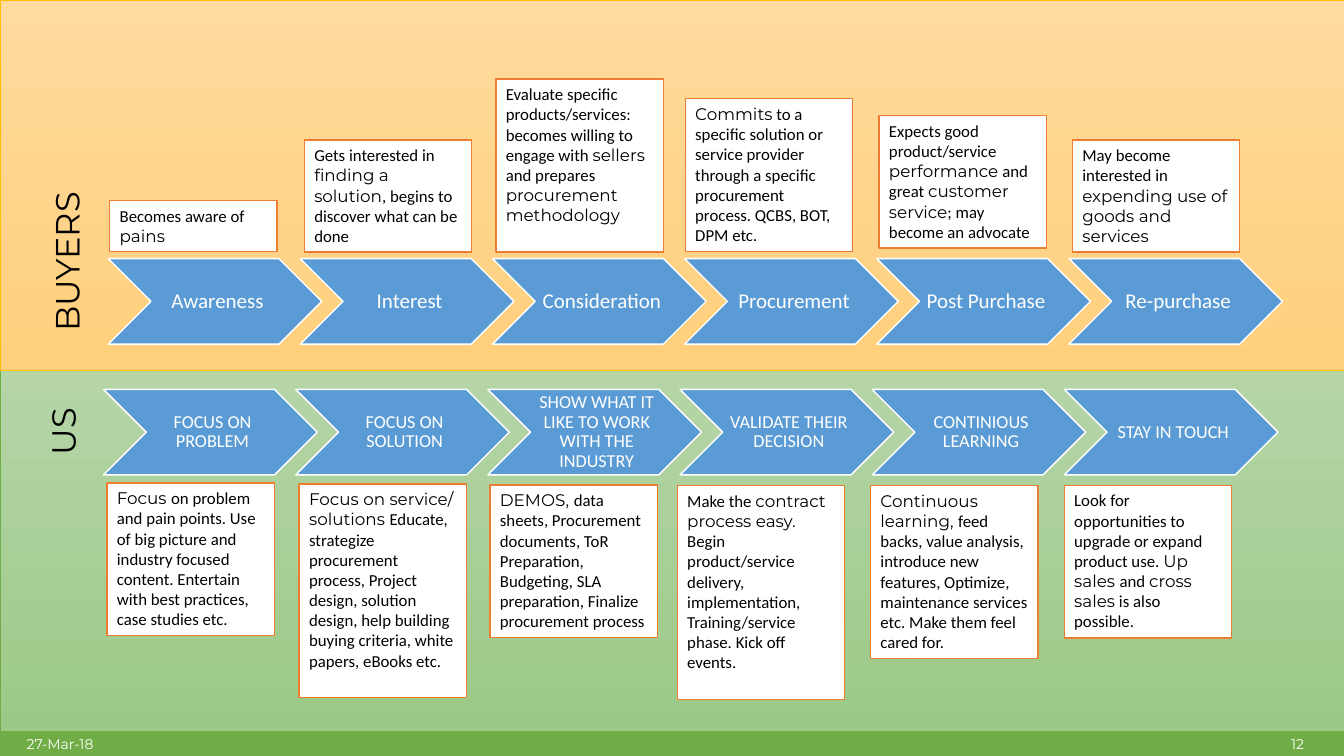
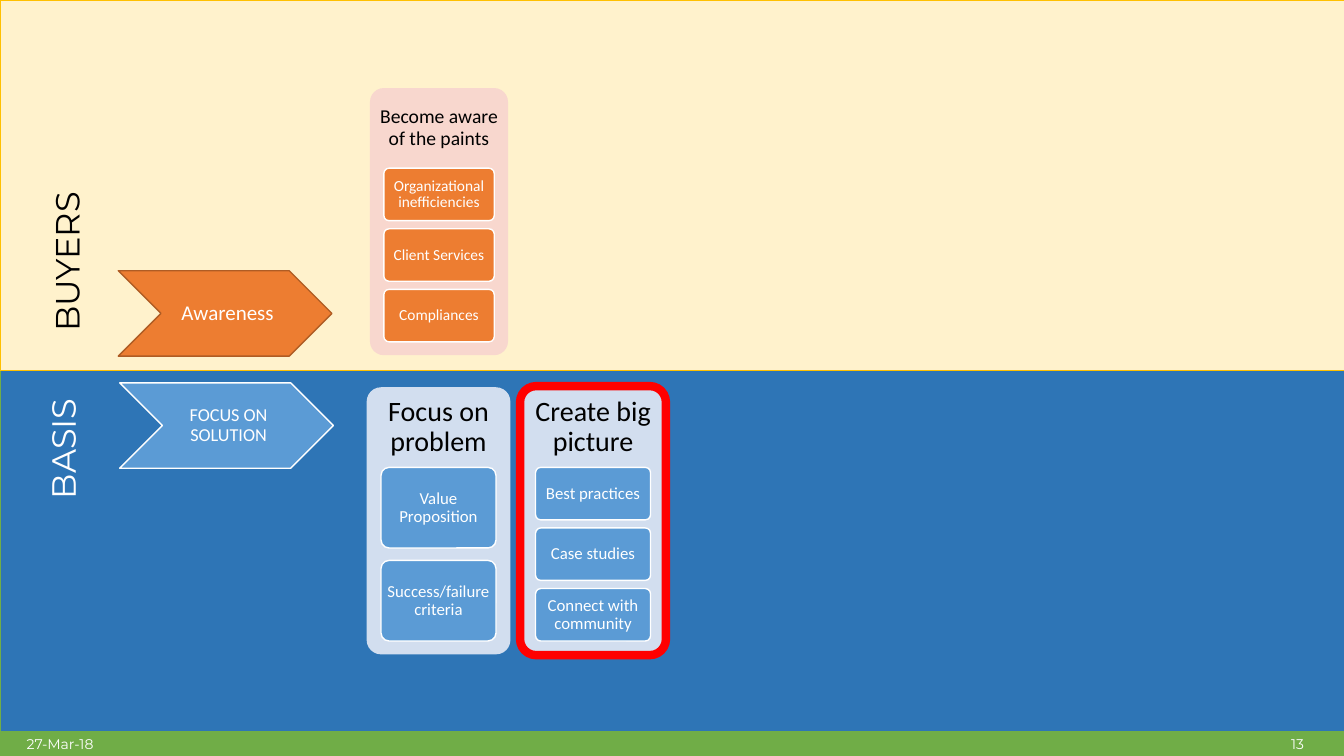
from pptx import Presentation
from pptx.dml.color import RGBColor
from pptx.enum.shapes import MSO_SHAPE
from pptx.enum.text import MSO_ANCHOR, PP_ALIGN
from pptx.util import Pt

RECT = MSO_SHAPE.RECTANGLE
ROUND = MSO_SHAPE.ROUNDED_RECTANGLE
CHEVRON = MSO_SHAPE.CHEVRON
TOP, MIDDLE = MSO_ANCHOR.TOP, MSO_ANCHOR.MIDDLE
LEFT, CENTER, RIGHT = PP_ALIGN.LEFT, PP_ALIGN.CENTER, PP_ALIGN.RIGHT

COLORS = {
    "white": "FFFFFF", "black": "000000", "green": "70AD47", "gold": "FFC000",
    "blue": "5B9BD5", "deep_blue": "2E75B6", "pale_blue": "D2DEEF",
    "orange": "ED7D31", "dark_orange": "AF5C24", "pale_orange": "F8D7CE",
    "cream": "FFF2CC", "red": "FF0000",
    "sand_light": "FFDB9E", "sand_dark": "FFD07C",
    "leaf_light": "B5D5A7", "leaf_dark": "9CC987",
}
BODY, ACCENT = "Calibri", "Montserrat"
WIDTH, HEIGHT = 960, 540
BAND_SPLIT, FOOTER_TOP = 264.8, 522.7
CHEVRON_W, CHEVRON_H, CHEVRON_STEP = 152.6, 61, 137.25
NOTE_W, NOTE_LINE, NOTE_PADDING = 119.6, 14.55, 7.2
CARD_TOP_SHARE, CARD_ITEMS_SHARE, CARD_H, ITEM_GAP = 0.3, 0.65, 190.8, 0.154

BUYER_STEPS = ["Awareness", "Interest", "Consideration", "Procurement",
               "Post Purchase", "Re-purchase"]
OUR_STEPS = ["FOCUS ON PROBLEM", "FOCUS ON SOLUTION",
             "SHOW WHAT IT LIKE TO WORK WITH THE INDUSTRY",
             "VALIDATE THEIR DECISION", "CONTINIOUS LEARNING", "STAY IN TOUCH"]

# left, bottom, lines, text with *accent* parts
BUYER_NOTES = [
    (78.4, 179.6, 2, "Becomes aware of *pains"),
    (217.4, 180, 5, "Gets interested in *finding a solution*, begins to discover "
                    "what can be done"),
    (354.2, 180, 8, "Evaluate specific products/services: becomes willing to engage "
                    "with *sellers *and prepares *procurement methodology"),
    (489.5, 179.6, 7, "*Commits* to a specific solution or service provider through a "
                      "specific procurement process. QCBS, BOT, DPM etc."),
    (627.9, 177.2, 6, "Expects good product/service *performance* and great "
                      "*customer service*; may become an advocate"),
    (766, 180, 5, "May become interested in *expending use of goods and services"),
]
OUR_NOTES = [
    (76.4, 345, 7, "*Focus *on problem and pain points. Use of big picture and industry "
                   "focused content. Entertain with best practices, case studies etc."),
    (213.7, 345.7, 10, "*Focus on service/ solutions *Educate, strategize procurement "
                       "process, Project design, solution design, help building buying "
                       "criteria, white papers, eBooks etc."),
    (350, 346.4, 7, "*DEMOS, *data sheets, Procurement documents, ToR Preparation, "
                    "Budgeting, SLA preparation, Finalize procurement process"),
    (483.8, 346.9, 10, "Make the *contract process easy. *Begin product/service delivery, "
                       "implementation, Training/service phase. Kick off events."),
    (621.8, 346.9, 8, "*Continuous learning, *feed backs, value analysis, introduce new "
                      "features, Optimize, maintenance services etc. Make them feel "
                      "cared for."),
    (760.2, 346.6, 7, "Look for opportunities to upgrade or expand product use. "
                      "*Up sales *and *cross sales* is also possible."),
]


def rgb(name):
    return RGBColor.from_string(COLORS[name])


def add_box(s, kind, at, fill=None, line=None, line_width=1, radius=None):
    sp = s.shapes.add_shape(kind, *[Pt(v) for v in at])
    sp.shadow.inherit = False
    if fill is None:
        sp.fill.background()
    elif isinstance(fill, tuple):
        sp.fill.gradient()
        sp.fill.gradient_angle = 270
        for stop, name in zip(sp.fill.gradient_stops, fill):
            stop.color.rgb = rgb(name)
    else:
        sp.fill.solid()
        sp.fill.fore_color.rgb = rgb(fill)
    if line:
        sp.line.color.rgb = rgb(line)
        sp.line.width = Pt(line_width)
    else:
        sp.line.fill.background()
    if radius is not None:
        sp.adjustments[0] = radius
    return sp


def write(sp, text, size, color, font=BODY, align=CENTER, anchor=MIDDLE,
          insets=(7.2, 3.6, 7.2, 3.6), spacing=None, wrap=True):
    tf = sp.text_frame
    tf.word_wrap = wrap
    tf.vertical_anchor = anchor
    tf.margin_left, tf.margin_top, tf.margin_right, tf.margin_bottom = map(Pt, insets)
    p = tf.paragraphs[0]
    p.alignment = align
    if spacing:
        p.line_spacing = spacing
    for i, part in enumerate(text.split("*")):
        if part:
            r = p.add_run()
            r.text = part
            r.font.name = ACCENT if i % 2 else font
            r.font.size = Pt(size)
            r.font.color.rgb = rgb(color)


def add_label(s, at, text, size, color, **style):
    sp = s.shapes.add_textbox(*[Pt(v) for v in at])
    write(sp, text, size, color, **style)
    return sp


def add_side_label(s, center_x, center_y, width, text, color):
    height = 36.4
    sp = add_label(s, (center_x - width / 2, center_y - height / 2, width, height),
                   text, 24, color, font=ACCENT, align=LEFT, anchor=TOP, wrap=False)
    sp.rotation = 270


def add_chevron(s, left, top, text, size, fill="blue", line="white"):
    sp = add_box(s, CHEVRON, (left, top, CHEVRON_W, CHEVRON_H), fill, line)
    write(sp, text, size, "white", insets=(size / 3, 1.5, 1.5, 1.5), spacing=0.9)


def add_chevron_row(s, left, top, steps, size):
    for i, step in enumerate(steps):
        add_chevron(s, left + i * CHEVRON_STEP, top, step, size)


def note_height(lines):
    return NOTE_PADDING + NOTE_LINE * lines


def add_note(s, left, top, lines, text):
    sp = add_box(s, RECT, (left, top, NOTE_W, note_height(lines)), "white", "orange")
    write(sp, text, 12, "black", align=LEFT, anchor=TOP)


def add_card(s, left, top, width, title, title_size, items, item_size, panel, fill):
    add_box(s, ROUND, (left, top, width, CARD_H), panel, radius=0.1)
    header_h = CARD_H * CARD_TOP_SHARE
    add_label(s, (left, top, width, header_h), title, title_size, "black",
              insets=(title_size * 0.28,) * 4, spacing=0.9)
    n = len(items)
    item_h = CARD_H * CARD_ITEMS_SHARE / (n + (n - 1) * ITEM_GAP)
    for i, item in enumerate(items):
        item_top = top + header_h + i * item_h * (1 + ITEM_GAP)
        sp = add_box(s, ROUND, (left + width * 0.1, item_top, width * 0.8, item_h),
                     fill, "white", radius=0.1)
        write(sp, item, item_size, "white", insets=(2, 1.6, 2, 1.6), spacing=0.9)


def add_frame(prs, number, upper_fill, lower_fill, lower_label, lower_color):
    s = prs.slides.add_slide(prs.slide_layouts[6])
    add_box(s, RECT, (0, FOOTER_TOP, WIDTH, HEIGHT - FOOTER_TOP), "green")
    add_box(s, RECT, (0, BAND_SPLIT, WIDTH, FOOTER_TOP - BAND_SPLIT),
            lower_fill, "green", 0.5)
    add_box(s, RECT, (0, 0, WIDTH, BAND_SPLIT), upper_fill, "gold", 0.5)
    add_side_label(s, 47.5, 181.5, 125.3, "BUYERS", "black")
    text, center_y, width = lower_label
    add_side_label(s, 44.8, center_y, width, text, lower_color)
    footer = {"font": ACCENT, "size": 10, "color": "white"}
    add_label(s, (12, FOOTER_TOP, 216, 17.3), "27-Mar-18", align=LEFT, **footer)
    add_label(s, (678, FOOTER_TOP, 260.6, 17.3), str(number), align=RIGHT, **footer)
    return s


def build_journey(prs):
    s = add_frame(prs, 12, ("sand_light", "sand_dark"), ("leaf_light", "leaf_dark"),
                  ("US", 306, 52.6), "black")
    add_chevron_row(s, 77.3, 184.8, BUYER_STEPS, 15)
    add_chevron_row(s, 74, 278.2, OUR_STEPS, 13)
    for left, bottom, lines, text in BUYER_NOTES:
        add_note(s, left, bottom - note_height(lines), lines, text)
    for left, top, lines, text in OUR_NOTES:
        add_note(s, left, top, lines, text)


def build_awareness(prs):
    s = add_frame(prs, 13, "cream", "deep_blue", ("BASIS", 315.4, 96.5), "white")
    add_chevron(s, 84.5, 193.4, "Awareness", 15, "orange", "dark_orange")
    add_chevron(s, 85.5, 273.5, "FOCUS ON SOLUTION", 13)
    add_card(s, 264.3, 62.9, 98.6, "Become aware of the paints", 14,
             ["Organizational inefficiencies", "Client Services", "Compliances"],
             11, "pale_orange", "orange")
    add_card(s, 261.9, 276.6, 102.7, "Focus on problem", 20,
             ["Value Proposition", "Success/failure criteria"],
             12, "pale_blue", "blue")
    add_card(s, 372.3, 276.6, 102.7, "Create big picture", 20,
             ["Best practices", "Case studies", "Connect with community"],
             12, "pale_blue", "blue")
    add_box(s, ROUND, (371.5, 275.8, 104.2, 192.2), None, "red", 6, 0.11)


def main():
    prs = Presentation()
    prs.slide_width, prs.slide_height = Pt(WIDTH), Pt(HEIGHT)
    build_journey(prs)
    build_awareness(prs)
    prs.save("out.pptx")


if __name__ == "__main__":
    main()
